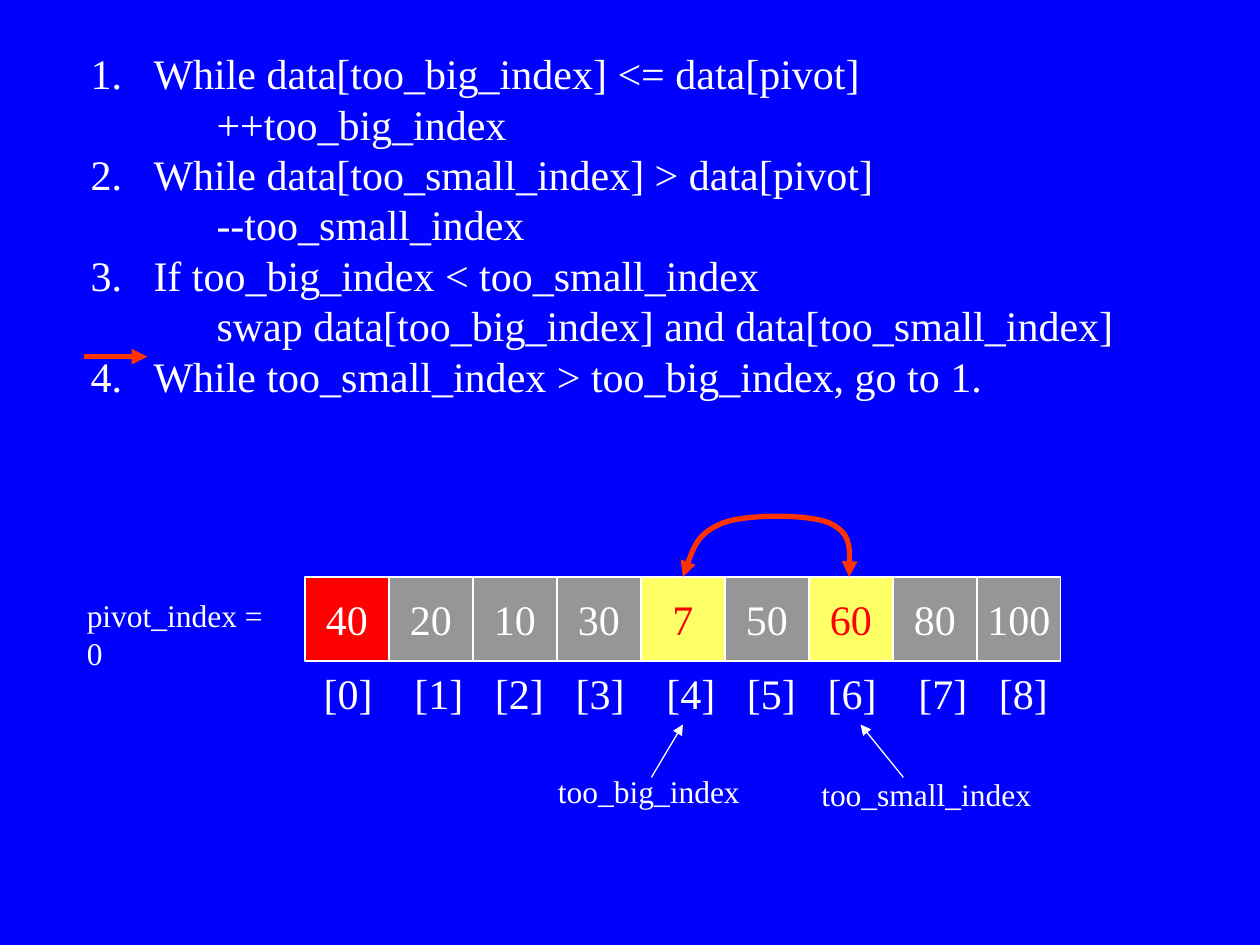
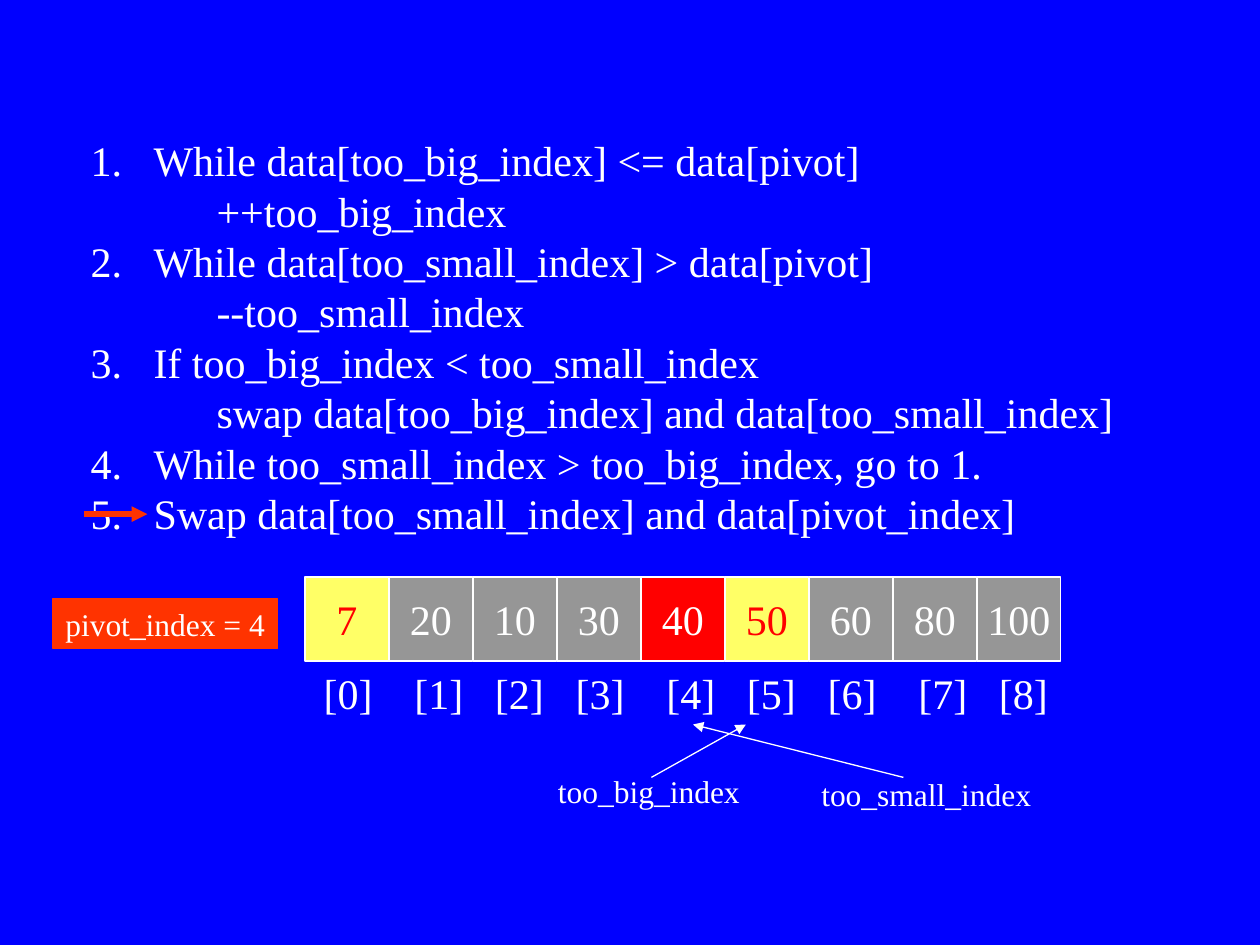
from dataclasses import dataclass

import pptx
import pptx.dml.color
import pptx.enum.shapes
import pptx.enum.text
import pptx.oxml
import pptx.oxml.ns
import pptx.util

Inches = pptx.util.Inches
Pt = pptx.util.Pt
RGB = pptx.dml.color.RGBColor
Rect = pptx.enum.shapes.MSO_SHAPE.RECTANGLE
Align = pptx.enum.text.PP_ALIGN
Anchor = pptx.enum.text.MSO_ANCHOR
qn = pptx.oxml.ns.qn

# Theme
BLUE = RGB(0x00, 0x00, 0xFF)
WHITE = RGB(0xFF, 0xFF, 0xFF)
RED = RGB(0xFF, 0x00, 0x00)
GRAY = RGB(0x96, 0x96, 0x96)
YELLOW = RGB(0xFF, 0xFF, 0x66)
ORANGE = RGB(0xFF, 0x33, 0x00)
FACE = "Times New Roman"
LARGE, SMALL = 24, 18

# Array grid
LEFT, TOP, SIDE = 2.42, 4.58, 2 / 3
COUNT = 9

Point = tuple[float, float]
SWAP: list[Point] = [
    (5.42, 4.58),
    (5.48, 4.4), (5.54, 4.23), (5.74, 4.15),
    (5.93, 4.08), (6.41, 4.08), (6.58, 4.15),
    (6.75, 4.23), (6.75, 4.4), (6.74, 4.58),
]

# Algorithm: each step with its indented action, if any
STEPS = [
    ("While data[too_big_index] <= data[pivot]", "++too_big_index"),
    ("While data[too_small_index] > data[pivot]", "--too_small_index"),
    ("If too_big_index < too_small_index",
     "swap data[too_big_index] and data[too_small_index]"),
    ("While too_small_index > too_big_index, go to 1.", ""),
    ("Swap data[too_small_index] and data[pivot_index]", ""),
]


@dataclass
class Box:
    x: float
    y: float
    w: float
    h: float


@dataclass
class State:
    steps: int        # number of steps listed
    top: float        # top of the step list
    mark: float       # height of the current-step arrow
    data: list[int]
    pivot: int        # cell holding the pivot
    lit: set[int]     # highlighted cells
    label: Box
    back: RGB | None  # fill of the pivot label
    big: float        # where the too_big_index arrow ends
    small: float      # where the too_small_index arrow ends
    swap: bool


STATES = [
    State(4, 0.33, 2.83, [40, 20, 10, 30, 7, 50, 60, 80, 100], 0, {4, 6},
          Box(0.59, 4.68, 1.78, 0.4), None, 5.42, 6.83, True),
    State(5, 1.02, 4.08, [7, 20, 10, 30, 40, 50, 60, 80, 100], 4, {0, 5},
          Box(0.42, 4.75, 1.78, 0.4), ORANGE, 5.92, 5.5, False),
]


def style(para, size: int, color: RGB = WHITE) -> None:
    para.line_spacing = Pt(size * 1.2)
    para.font.name = FACE
    para.font.size = Pt(size)
    para.font.color.rgb = color


def add_text(slide, box: Box, text: str, size: int):
    area = slide.shapes.add_textbox(
        Inches(box.x), Inches(box.y), Inches(box.w), Inches(box.h))
    area.text_frame.word_wrap = True
    para = area.text_frame.paragraphs[0]
    para.text = text
    style(para, size)
    return area


def add_rect(slide, box: Box, fill: RGB, edge: RGB, text: str,
             size: int, color: RGB = WHITE):
    shape = slide.shapes.add_shape(
        Rect, Inches(box.x), Inches(box.y), Inches(box.w), Inches(box.h))
    shape.shadow.inherit = False
    shape.fill.solid()
    shape.fill.fore_color.rgb = fill
    shape.line.color.rgb = edge
    shape.line.width = Pt(0.75)
    shape.text_frame.word_wrap = False
    para = shape.text_frame.paragraphs[0]
    para.text = text
    style(para, size, color)
    return shape


def add_tips(shape, color: RGB, width: float, *ends: str) -> None:
    shape.line.color.rgb = color
    shape.line.width = Pt(width)
    line = shape.line._get_or_add_ln()
    for end in ends:
        pptx.oxml.xmlchemy.OxmlElement  # element factory
        tip = line.makeelement(qn(f"a:{end}"), {"type": "triangle"})
        line.append(tip)


def add_arrow(slide, start: Point, end: Point, color: RGB, width: float) -> None:
    kind = pptx.enum.shapes.MSO_CONNECTOR.STRAIGHT
    arrow = slide.shapes.add_connector(
        kind, *(Inches(n) for n in (*start, *end)))
    props = arrow._element.spPr
    add_tips(arrow, color, width, "tailEnd")
    props.append(props.makeelement(qn("a:effectLst"), {}))


def add_curve(slide, points: list[Point]) -> None:
    spots = [(Inches(x), Inches(y)) for x, y in points]
    form = slide.shapes.build_freeform(*spots[0])
    form.add_line_segments(spots[1:], close=False)
    curve = form.convert_to_shape()
    curve.shadow.inherit = False
    curve.fill.background()
    add_tips(curve, ORANGE, 3, "headEnd", "tailEnd")
    # Merge each three segments into one Bezier curve
    lines = curve._element.xpath(".//a:lnTo")
    for i in range(0, len(lines), 3):
        bend = lines[i].makeelement(qn("a:cubicBezTo"), {})
        lines[i].addprevious(bend)
        for line in lines[i:i + 3]:
            bend.append(line[0])
            line.getparent().remove(line)


def add_steps(slide, state: State) -> None:
    rows = [(text, level) for pair in STEPS[:state.steps]
            for level, text in enumerate(pair) if text]
    box = Box(0.62, state.top, 9.32, 2.5 + 0.4 * state.steps)
    frame = add_text(slide, box, "", LARGE).text_frame
    for i, (text, level) in enumerate(rows):
        para = frame.add_paragraph() if i else frame.paragraphs[0]
        para.text = text
        para.level = level
        props = para._p.get_or_add_pPr()
        props.set("marL", str(Inches(0.5 + 0.5 * level)))
        props.set("indent", str(Inches(0 if level else -0.5)))
        if not level:
            number = props.makeelement(
                qn("a:buAutoNum"), {"type": "arabicPeriod"})
            props.insert_element_before(number, "a:tabLst", "a:defRPr")
        style(para, LARGE)


def add_array(slide, state: State) -> None:
    for i, value in enumerate(state.data):
        fill, color = GRAY, WHITE
        if i == state.pivot:
            fill = RED
        elif i in state.lit:
            fill, color = YELLOW, RED
        cell = add_rect(slide, Box(LEFT + i * SIDE, TOP, SIDE, SIDE),
                        fill, WHITE, str(value), LARGE, color)
        cell.text_frame.vertical_anchor = Anchor.MIDDLE
        cell.text_frame.paragraphs[0].alignment = Align.CENTER


def add_index(slide) -> None:
    text = "\t".join(f"[{i}]" for i in range(COUNT))
    area = add_text(slide, Box(2.47, 5.25, 5.95, 0.5), text, LARGE)
    props = area.text_frame.paragraphs[0]._p.get_or_add_pPr()
    tabs = props.makeelement(qn("a:tabLst"), {})
    for i in range(1, COUNT):
        stop = 2 * (i // 3) + (0, 0.72, 1.36)[i % 3]
        tabs.append(tabs.makeelement(
            qn("a:tab"), {"pos": str(Inches(stop)), "algn": "l"}))
    props.insert_element_before(tabs, "a:defRPr")


def add_label(slide, state: State) -> None:
    text = f"pivot_index = {state.pivot}"
    if state.back is None:
        add_text(slide, state.label, text, SMALL)
        return
    label = add_rect(slide, state.label, state.back, state.back, text, SMALL)
    label.text_frame.vertical_anchor = Anchor.TOP
    label.text_frame.paragraphs[0].alignment = Align.LEFT


def add_state(deck, state: State) -> None:
    slide = deck.slides.add_slide(deck.slide_layouts[6])
    add_steps(slide, state)
    add_array(slide, state)
    add_label(slide, state)
    add_index(slide)
    # Index pointers
    add_text(slide, Box(4.33, 6.08, 3.17, 0.4), "too_big_index", SMALL)
    add_text(slide, Box(6.42, 6.1, 2.33, 0.4), "too_small_index", SMALL)
    add_arrow(slide, (7.17, 6.17), (state.small, 5.75), WHITE, 0.75)
    add_arrow(slide, (5.17, 6.17), (state.big, 5.75), WHITE, 0.75)
    # Current step
    add_arrow(slide, (0.67, state.mark), (1.17, state.mark), ORANGE, 3)
    if state.swap:
        add_curve(slide, SWAP)


def main() -> None:
    deck = pptx.Presentation()
    deck.slide_width, deck.slide_height = Inches(10), Inches(7.5)
    fill = deck.slide_master.background.fill
    fill.solid()
    fill.fore_color.rgb = BLUE
    for state in STATES:
        add_state(deck, state)
    deck.save("out.pptx")


if __name__ == "__main__":
    main()
